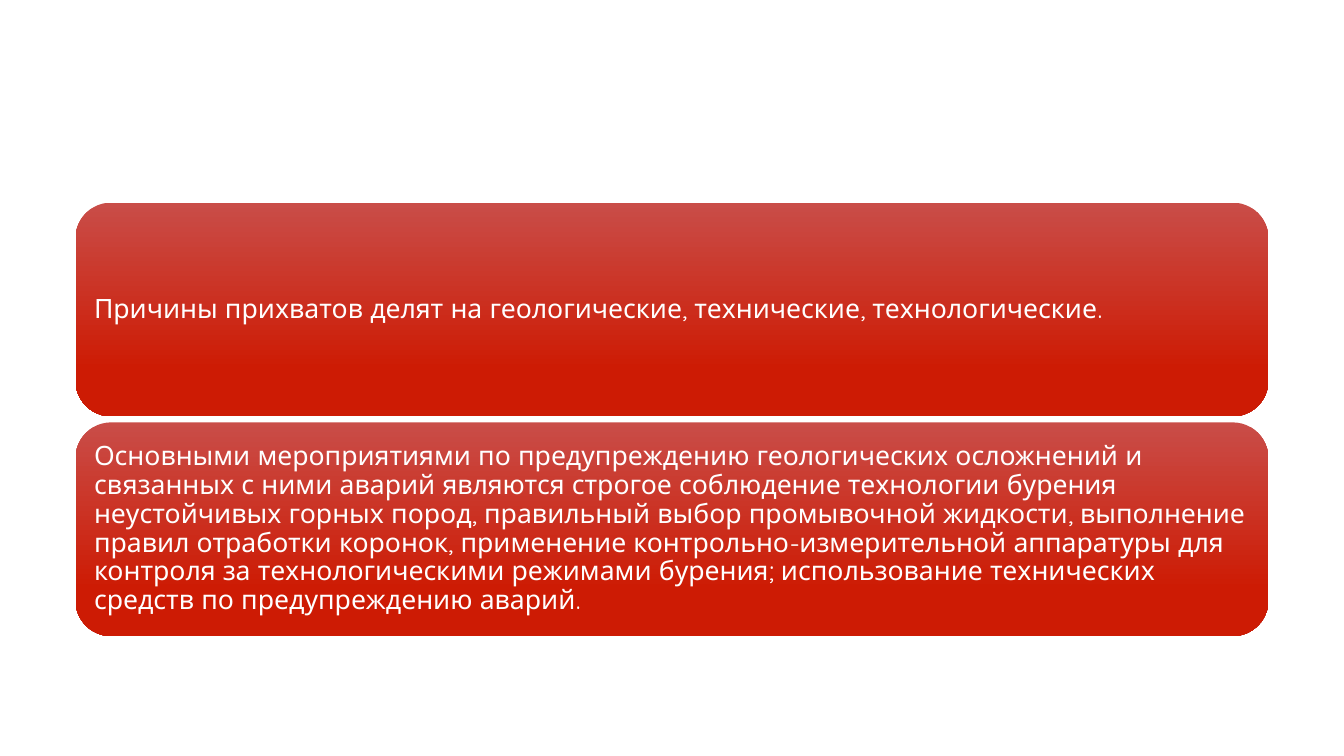
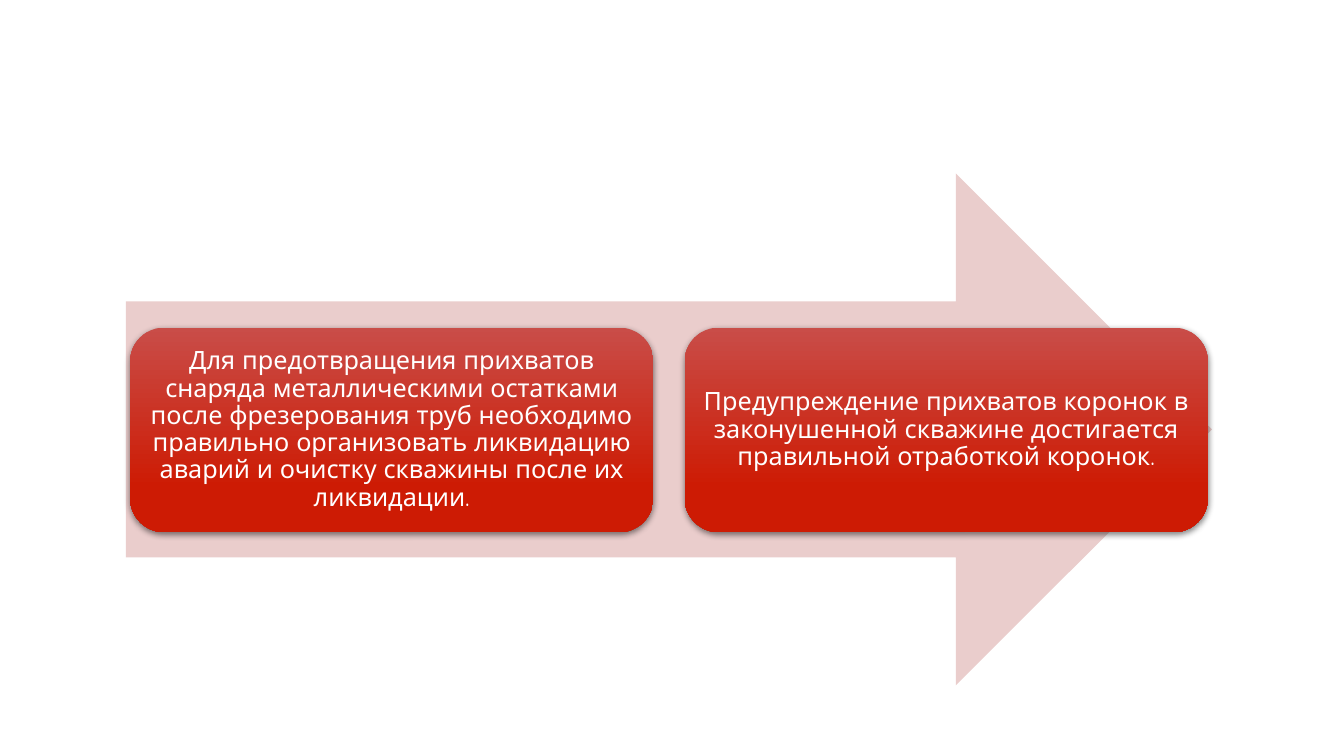
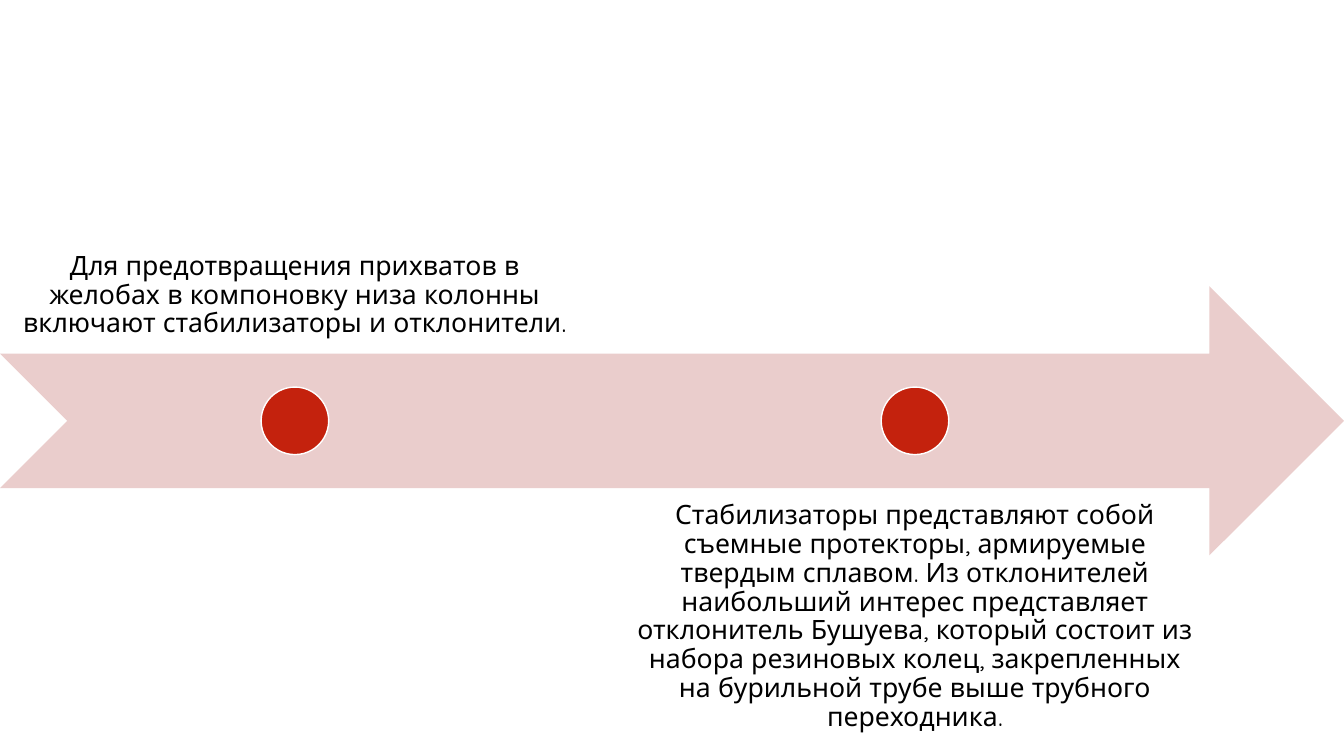
import dataclasses

import lxml.etree
import pptx
import pptx.dml.color
import pptx.enum.shapes
import pptx.enum.text
import pptx.oxml.ns
import pptx.shapes.autoshape
import pptx.slide
import pptx.util

Inches = pptx.util.Inches
RGB = pptx.dml.color.RGBColor
Kind = pptx.enum.shapes.MSO_SHAPE
Align = pptx.enum.text.PP_ALIGN
Anchor = pptx.enum.text.MSO_ANCHOR
Shape = pptx.shapes.autoshape.Shape
Slide = pptx.slide.Slide

FONT = "Quicksand"
WHITE = RGB(0xFF, 0xFF, 0xFF)
BLACK = RGB(0x00, 0x00, 0x00)
PINK = RGB(0xEA, 0xCD, 0xCC)
RED = RGB(0xC4, 0x22, 0x0D)
CARD_TOP = RGB(0xC9, 0x4D, 0x48)
CARD_END = RGB(0xCD, 0x1B, 0x04)

CAUSES = [
    "Причины прихватов делят на геологические, технические, технологические.",
    "Основными мероприятиями по предупреждению геологических осложнений и "
    "связанных с ними аварий являются строгое соблюдение технологии бурения "
    "неустойчивых горных пород, правильный выбор промывочной жидкости, "
    "выполнение правил отработки коронок, применение "
    "контрольно-измерительной аппаратуры для контроля за технологическими "
    "режимами бурения; использование технических средств по "
    "предупреждению аварий.",
]
STEPS = [
    "Для предотвращения прихватов снаряда металлическими остатками после "
    "фрезерования труб необходимо правильно организовать ликвидацию аварий "
    "и очистку скважины после их ликвидации.",
    "Предупреждение прихватов коронок в законушенной скважине достигается "
    "правильной отработкой коронок.",
]
TOOLS = [
    "Для предотвращения прихватов в желобах в компоновку низа колонны "
    "включают стабилизаторы и отклонители.",
    "Стабилизаторы представляют собой съемные протекторы, армируемые "
    "твердым сплавом. Из отклонителей наибольший интерес представляет "
    "отклонитель Бушуева, который состоит из набора резиновых колец, "
    "закрепленных на бурильной трубе выше трубного переходника.",
]


@dataclasses.dataclass(frozen=True)
class Box:
    left: float
    top: float
    width: float
    height: float

    def place(self) -> tuple[pptx.util.Length, ...]:
        return tuple(Inches(v) for v in dataclasses.astuple(self))


@dataclasses.dataclass(frozen=True)
class Style:
    size: float
    color: RGB
    align: Align
    inset: float


WIDE = Style(19, WHITE, Align.LEFT, 0.08)
STEP = Style(18, WHITE, Align.CENTER, 0.07)
LABEL = Style(19, BLACK, Align.CENTER, 0.15)


def write(shape: Shape, text: str, style: Style, anchor: Anchor) -> None:
    frame = shape.text_frame
    frame.word_wrap = True
    frame.vertical_anchor = anchor
    frame.margin_left = frame.margin_right = Inches(style.inset)
    frame.margin_top = frame.margin_bottom = Inches(style.inset)
    para = frame.paragraphs[0]
    para.text = text
    para.alignment = style.align
    para.line_spacing = 0.9
    para.font.name = FONT
    para.font.size = pptx.util.Pt(style.size)
    para.font.color.rgb = style.color


def add_form(slide: Slide, kind: Kind, box: Box) -> Shape:
    """Add a preset shape with neither outline nor shadow."""
    shape = slide.shapes.add_shape(kind, *box.place())
    shape.shadow.inherit = False
    shape.line.fill.background()
    return shape


def add_flat(slide: Slide, kind: Kind, box: Box, color: RGB) -> Shape:
    shape = add_form(slide, kind, box)
    shape.fill.solid()
    shape.fill.fore_color.rgb = color
    return shape


def add_card(slide: Slide, box: Box, text: str, style: Style) -> Shape:
    card = add_form(slide, Kind.ROUNDED_RECTANGLE, box)
    card.fill.gradient()
    card.fill.gradient_angle = 270
    for stop, color, place in zip(
        card.fill.gradient_stops, (CARD_TOP, CARD_END), (0, 0.78)
    ):
        stop.color.rgb = color
        stop.position = place
    write(card, text, style, Anchor.MIDDLE)
    return card


def add_shade(shape: Shape) -> None:
    """Give the shape a soft shadow straight below it."""
    qn = pptx.oxml.ns.qn
    effects = shape.element.spPr.find(qn("a:effectLst"))
    shade = lxml.etree.SubElement(
        effects,
        qn("a:outerShdw"),
        blurRad=str(pptx.util.Pt(4.5)),
        dist=str(pptx.util.Pt(1.5)),
        dir="5400000",
        algn="ctr",
        rotWithShape="0",
    )
    color = lxml.etree.SubElement(shade, qn("a:srgbClr"), val=str(BLACK))
    lxml.etree.SubElement(color, qn("a:alpha"), val="48000")


def draw_causes(slide: Slide) -> None:
    for i, text in enumerate(CAUSES):
        add_card(slide, Box(0.75, 2.01 + 2.18 * i, 11.83, 2.12), text, WIDE)


def draw_steps(slide: Slide) -> None:
    add_flat(slide, Kind.RIGHT_ARROW, Box(1.25, 1.72, 10.77, 5.08), PINK)
    for i, text in enumerate(STEPS):
        card = add_card(slide, Box(1.29 + 5.5 * i, 3.25, 5.19, 2.03), text, STEP)
        add_shade(card)


def draw_tools(slide: Slide) -> None:
    band = Box(0, 2.84, 13.33, 2.67)
    add_flat(slide, Kind.NOTCHED_RIGHT_ARROW, band, PINK)
    width, pitch, dot = 5.85, 6.15, 0.67
    middle = band.top + band.height / 2
    rows = [(0.84, Anchor.BOTTOM), (4.83, Anchor.TOP)]
    for i, (text, (top, anchor)) in enumerate(zip(TOOLS, rows)):
        left = pitch * i
        label = slide.shapes.add_textbox(*Box(left, top, width, 2.67).place())
        write(label, text, LABEL, anchor)
        spot = Box(left + (width - dot) / 2, middle - dot / 2, dot, dot)
        mark = add_flat(slide, Kind.OVAL, spot, RED)
        mark.line.color.rgb = WHITE
        mark.line.width = pptx.util.Pt(1)


def main() -> None:
    deck = pptx.Presentation()
    deck.slide_width = Inches(13.33)
    deck.slide_height = Inches(7.5)
    blank = deck.slide_layouts[6]
    for draw in (draw_causes, draw_steps, draw_tools):
        draw(deck.slides.add_slide(blank))
    deck.save("out.pptx")


if __name__ == "__main__":
    main()
